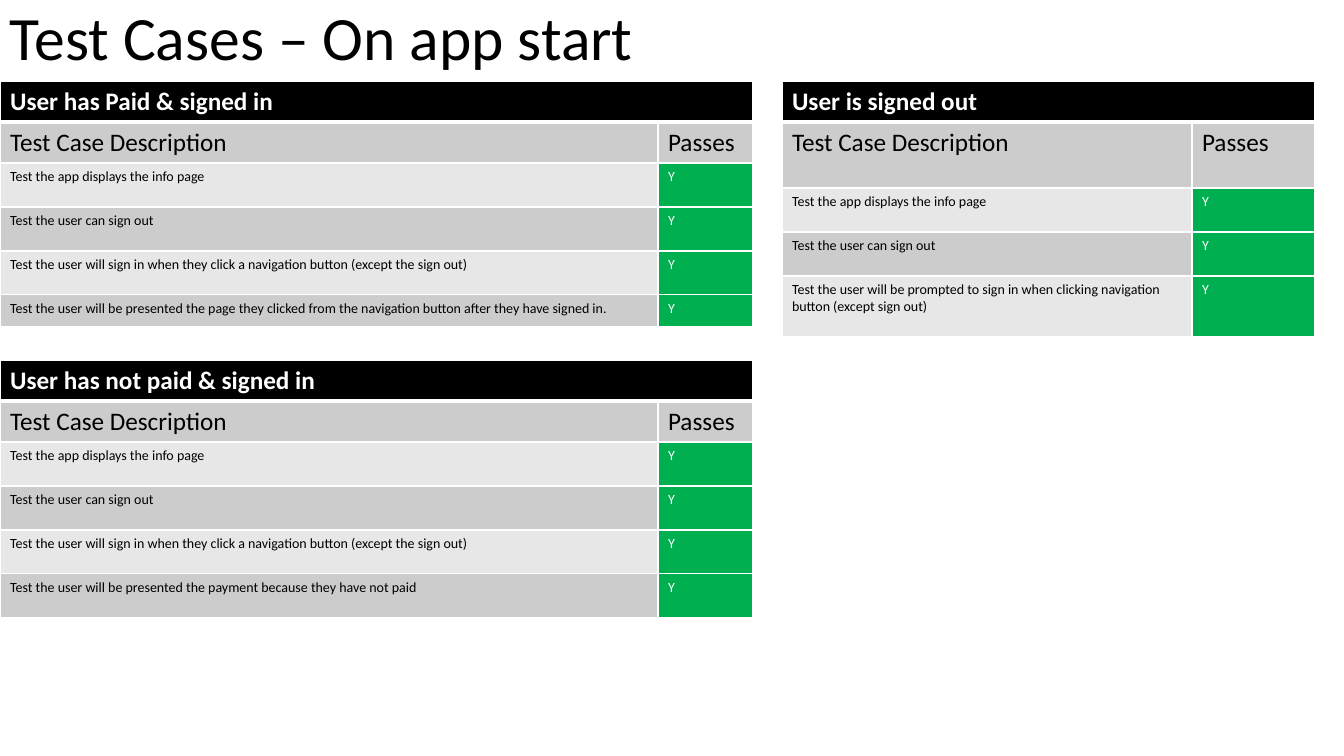
from lxml.etree import SubElement
from pptx import Presentation
from pptx.dml.color import RGBColor
from pptx.enum.text import MSO_ANCHOR
from pptx.oxml.ns import qn
from pptx.util import Emu, Pt

SCALE = 914400 / 100.8
BLACK = RGBColor(0x00, 0x00, 0x00)
WHITE = RGBColor(0xFF, 0xFF, 0xFF)
DARK = RGBColor(0xCC, 0xCC, 0xCC)
LIGHT = RGBColor(0xE7, 0xE7, 0xE7)
GREEN = RGBColor(0x00, 0xB0, 0x50)

HEAD = {"size": Pt(18), "bold": True}
LABEL = {"size": Pt(18), "bold": False}
BODY = {"size": Pt(10), "bold": False}

INFO = "Test the app displays the info page"
EXIT = "Test the user can sign out"
CLICK = "Test the user will sign in when they click a navigation button (except the sign out)"
PAGE = ("Test the user will be presented the page they clicked from the navigation "
        "button after they have signed in.")
PAY = "Test the user will be presented the payment because they have not paid"
PROMPT = ("Test the user will be prompted to sign in when clicking navigation button "
          "(except sign out)")

TABLES = [
    ("User has Paid & signed in", [INFO, EXIT, CLICK, PAGE],
     (0, 81), (658, 95), (41, 41, 44, 44, 44, 32)),
    ("User has not paid & signed in", [INFO, EXIT, CLICK, PAY],
     (0, 360), (658, 95), (41, 41, 44, 44, 44, 44)),
    ("User is signed out", [INFO, EXIT, PROMPT],
     (782, 81), (410, 123), (41, 66, 44, 44, 61)),
]


def px(num):
    """Turn pixels into EMU."""
    return Emu(round(num * SCALE))


def write(frame, text, style, color):
    """Put one styled run of text into a frame."""
    run = frame.paragraphs[0].add_run()
    run.text = text
    for key, value in {"name": "Calibri", **style}.items():
        setattr(run.font, key, value)
    run.font.color.rgb = color


def edge(cell, row):
    """Draw white cell borders, thick between heading and body."""
    props = cell._tc.get_or_add_tcPr()
    thick = {"lnT": row == 1, "lnB": row == 0}
    for tag in ("lnL", "lnR", "lnT", "lnB"):
        width = Pt(3 if thick.get(tag) else 1)
        line = SubElement(props, qn(f"a:{tag}"), w=str(width))
        fill = SubElement(line, qn("a:solidFill"))
        SubElement(fill, qn("a:srgbClr"), val=str(WHITE))


def paint(cell, row, fill):
    """Give a cell its borders and fill."""
    edge(cell, row)
    cell.fill.solid()
    cell.fill.fore_color.rgb = fill


def add_title(slide, text):
    """Add the slide title."""
    frame = slide.shapes.add_textbox(0, 0, px(1159), px(81)).text_frame
    form = {"word_wrap": True, "vertical_anchor": MSO_ANCHOR.MIDDLE}
    for key, value in form.items():
        setattr(frame, key, value)
    frame.paragraphs[0].line_spacing = 0.9
    write(frame, text, {"size": Pt(44)}, BLACK)


def add_cases(slide, head, cases, spot, cols, rows):
    """Add a table of test cases that all pass."""
    left, top = spot
    grid = slide.shapes.add_table(len(rows), len(cols), px(left), px(top),
                                  px(sum(cols)), px(sum(rows))).table
    for col, width in zip(grid.columns, cols):
        col.width = px(width)
    for row, height in zip(grid.rows, rows):
        row.height = px(height)

    for col in range(2):
        paint(grid.cell(0, col), 0, BLACK)
    grid.cell(0, 0).merge(grid.cell(0, 1))
    write(grid.cell(0, 0).text_frame, head, HEAD, WHITE)

    for col, text in enumerate(("Test Case Description", "Passes")):
        cell = grid.cell(1, col)
        paint(cell, 1, DARK)
        write(cell.text_frame, text, LABEL, BLACK)

    for row, case in enumerate(cases, 2):
        band = DARK if row % 2 else LIGHT
        for col, (text, fill, ink) in enumerate(((case, band, BLACK), ("Y", GREEN, WHITE))):
            cell = grid.cell(row, col)
            paint(cell, row, fill)
            write(cell.text_frame, text, BODY, ink)


def main():
    """Build and save the slide."""
    deck = Presentation()
    deck.slide_width, deck.slide_height = px(1344), px(756)
    slide = deck.slides.add_slide(deck.slide_layouts[6])
    add_title(slide, "Test Cases – On app start")
    for table in TABLES:
        add_cases(slide, *table)
    deck.save("out.pptx")


if __name__ == "__main__":
    main()
